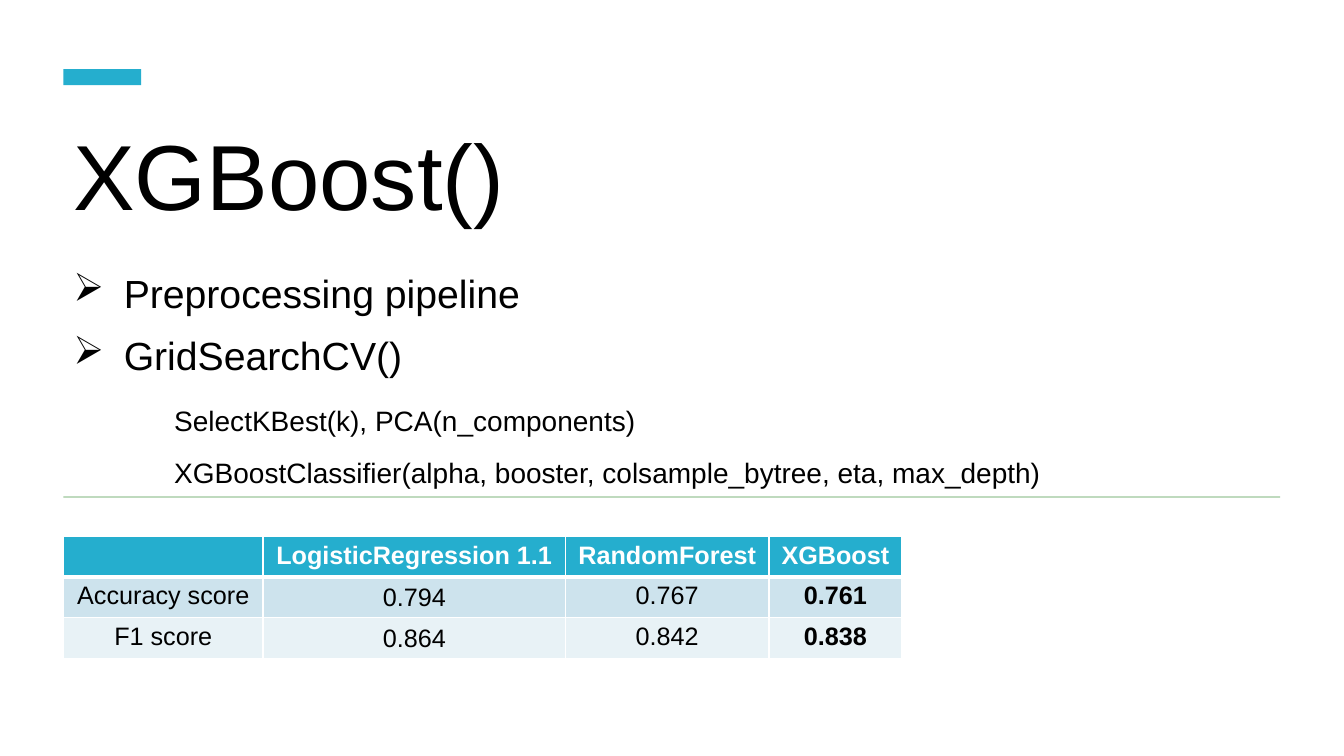
from lxml.etree import SubElement
from pptx import Presentation
from pptx.dml.color import RGBColor
from pptx.enum.shapes import MSO_SHAPE
from pptx.enum.text import MSO_ANCHOR, PP_ALIGN
from pptx.oxml.ns import qn
from pptx.util import Cm, Pt

TEAL = RGBColor(0x25, 0xAE, 0xCE)
GREEN = RGBColor(0xBF, 0xDA, 0xBE)
BLACK = RGBColor(0, 0, 0)
WHITE = RGBColor(0xFF, 0xFF, 0xFF)
BAND_DARK = RGBColor(0xCD, 0xE3, 0xED)
BAND_LIGHT = RGBColor(0xE8, 0xF2, 0xF6)

LEFT = 1.6
CONTENT_WIDTH = 30.66
COLUMN_WIDTHS = [5.03, 7.62, 5.13, 3.35]
ROW_HEIGHT = 1.03
ROW_FILLS = [TEAL, BAND_DARK, BAND_LIGHT]
SCORES = [
    ["", "LogisticRegression 1.1", "RandomForest", "XGBoost"],
    ["Accuracy score", "0.794", "0.767", "0.761"],
    ["F1 score", "0.864", "0.842", "0.838"],
]
TOPICS = [
    ("Preprocessing pipeline", 28, 11, "➢"),
    ("GridSearchCV()", 28, 11, "➢"),
    ("SelectKBest(k), PCA(n_components)", 20, 18, None),
    ("XGBoostClassifier(alpha, booster, colsample_bytree, eta, max_depth)", 20, 13, None),
]


class SlideBuilder:
    """Holds the current slide and its style, and adds each kind of element."""

    def __init__(self, slide, font_name):
        self.slide = slide
        self.font_name = font_name

    def style(self, paragraph, size, color=BLACK, bold=False):
        font = paragraph.font
        font.name = self.font_name
        font.size = Pt(size)
        font.bold = bold
        font.color.rgb = color

    def bar(self, top, width, height, color):
        shape = self.slide.shapes.add_shape(
            MSO_SHAPE.RECTANGLE, Cm(LEFT), Cm(top), Cm(width), Cm(height))
        shape.shadow.inherit = False
        shape.fill.solid()
        shape.fill.fore_color.rgb = color
        shape.line.fill.background()

    def text_frame(self, top, height):
        box = self.slide.shapes.add_textbox(
            Cm(LEFT), Cm(top), Cm(CONTENT_WIDTH), Cm(height))
        box.text_frame.word_wrap = True
        return box.text_frame

    def title(self, text, top, height):
        frame = self.text_frame(top, height)
        frame.vertical_anchor = MSO_ANCHOR.BOTTOM
        paragraph = frame.paragraphs[0]
        paragraph.text = text
        paragraph.line_spacing = 0.9
        self.style(paragraph, 66)

    def topics(self, topics, top, height):
        frame = self.text_frame(top, height)
        for index, (text, size, space_before, bullet) in enumerate(topics):
            paragraph = frame.add_paragraph() if index else frame.paragraphs[0]
            paragraph.text = text
            paragraph.space_before = Pt(space_before)
            self.style(paragraph, size)
            self.indent(paragraph, bullet)

    def indent(self, paragraph, bullet):
        properties = paragraph._p.get_or_add_pPr()
        properties.set("marL", str(Cm(1.27 if bullet else 2.54)))
        properties.set("indent", str(Cm(-1.27 if bullet else 0)))
        if bullet:
            mark = SubElement(properties, qn("a:buChar"))
            mark.set("char", bullet)
            properties.insert_element_before(mark, "a:tabLst", "a:defRPr", "a:extLst")

    def border(self, cell, side, width):
        line = SubElement(cell._tc.get_or_add_tcPr(), qn(f"a:ln{side}"))
        line.set("w", str(Pt(width)))
        fill = SubElement(line, qn("a:solidFill"))
        SubElement(fill, qn("a:srgbClr")).set("val", str(WHITE))

    def table(self, rows, top):
        table = self.slide.shapes.add_table(
            len(rows), len(COLUMN_WIDTHS), Cm(LEFT), Cm(top),
            Cm(sum(COLUMN_WIDTHS)), Cm(ROW_HEIGHT * len(rows))).table
        for column, width in zip(table.columns, COLUMN_WIDTHS):
            column.width = Cm(width)
        for row_index, texts in enumerate(rows):
            table.rows[row_index].height = Cm(ROW_HEIGHT)
            for column_index, text in enumerate(texts):
                self.cell(table.cell(row_index, column_index), text, row_index, column_index)

    def cell(self, cell, text, row_index, column_index):
        header = row_index == 0
        widths = {
            "L": 1,
            "R": 1,
            "T": 3 if row_index == 1 else 1,
            "B": 3 if header else 1,
        }
        for side, width in widths.items():
            self.border(cell, side, width)
        cell.fill.solid()
        cell.fill.fore_color.rgb = ROW_FILLS[row_index]
        if column_index == 1 and not header:
            cell.vertical_anchor = MSO_ANCHOR.MIDDLE
        paragraph = cell.text_frame.paragraphs[0]
        paragraph.text = text
        paragraph.alignment = PP_ALIGN.CENTER
        last_column = column_index == len(COLUMN_WIDTHS) - 1
        self.style(paragraph, 18, WHITE if header else BLACK, header or last_column)


def main():
    presentation = Presentation()
    presentation.slide_width = Cm(33.87)
    presentation.slide_height = Cm(19.05)
    slide = presentation.slides.add_slide(presentation.slide_layouts[6])
    builder = SlideBuilder(slide, "Arial")
    builder.bar(1.74, 1.96, 0.41, TEAL)
    builder.bar(12.5, CONTENT_WIDTH, 0.05, GREEN)
    builder.title("XGBoost()", 3.12, 2.82)
    builder.topics(TOPICS, 6.65, 10.59)
    builder.table(SCORES, 13.51)
    presentation.save("out.pptx")


if __name__ == "__main__":
    main()
